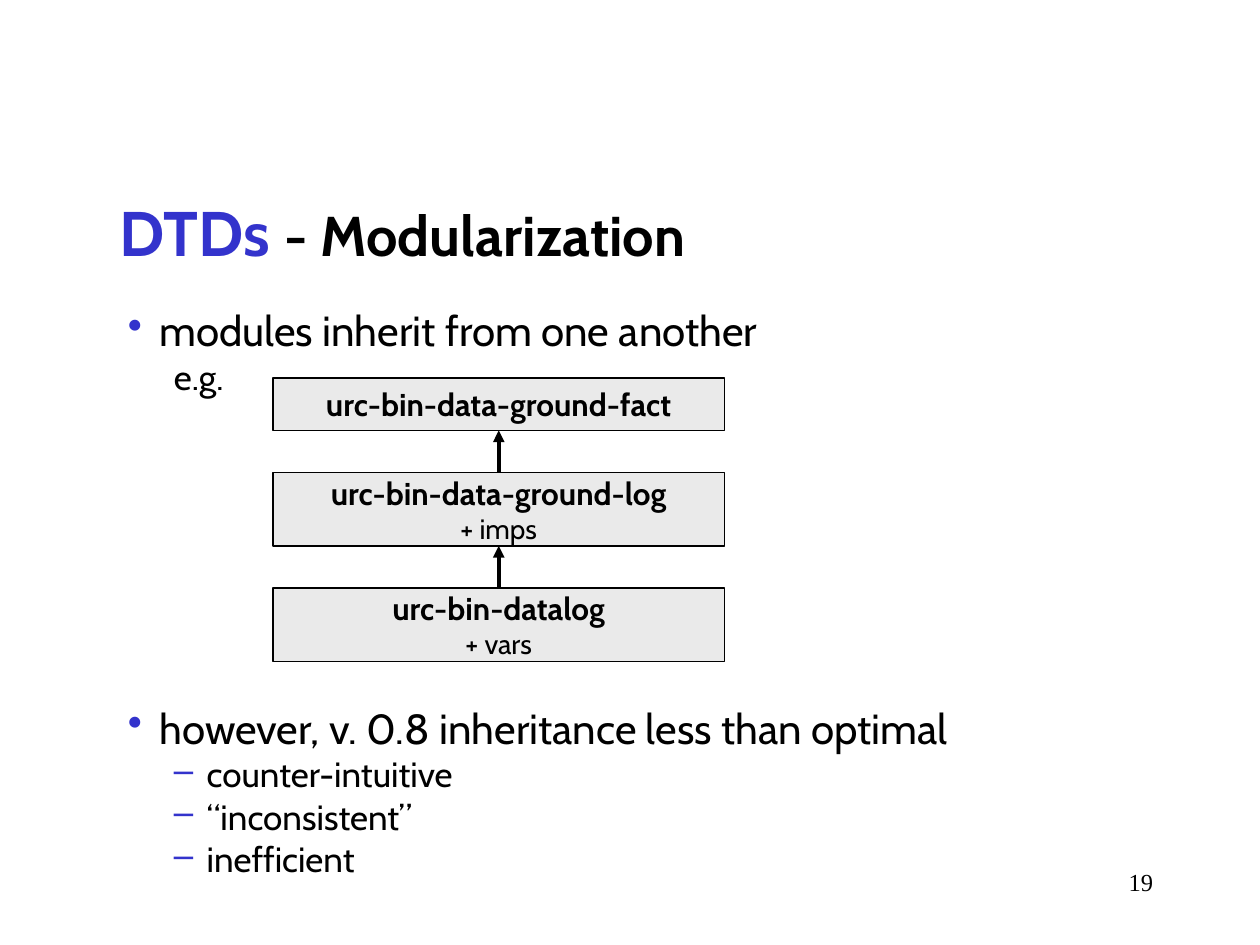
from lxml.etree import SubElement
from pptx import Presentation
from pptx.dml.color import RGBColor
from pptx.enum.shapes import MSO_CONNECTOR, MSO_SHAPE
from pptx.enum.text import MSO_ANCHOR, PP_ALIGN
from pptx.oxml.ns import qn
from pptx.util import Pt

# Content
BLUE, BLACK, GREY = "3333CC", "000000", "EAEAEA"
TITLE = [("DTDs ", 36, BLUE), ("- Modularization", 32, BLACK)]
# text, level, bullet, space before
POINTS = [
    ("modules inherit from one another", 0, "•", 0),
    ("e.g.", 1, None, 2.5),
    ("however, v. 0.8 inheritance less than optimal", 0, "•", 177),
    ("counter-intuitive", 1, "–", 2.5),
    ("“inconsistent”", 1, "–", 2.5),
    ("inefficient", 1, "–", 2.5),
]
# size, left margin, first-line indent of each level
LEVELS = [(24, 18, -18), (20, 45, -18.75)]
# name, addition, height; each module inherits from the one above
MODULES = [
    ("urc-bin-data-ground-fact", None, 30),
    ("urc-bin-data-ground-log", "+ imps", 42),
    ("urc-bin-datalog", "+ vars", 42),
]
MODULE_LEFT, MODULE_TOP, MODULE_WIDTH, MODULE_GAP = 156, 216, 258, 24
PAGE_NUMBER = "19"


def colour(value):
    return RGBColor.from_string(value)


def set_all(target, values):
    for key, value in values.items():
        setattr(target, key, value)


def add_run(paragraph, text, size, fill=BLACK, bold=False, face="Cabin"):
    run = paragraph.add_run()
    run.text = text
    set_all(run.font, {"size": Pt(size), "bold": bold, "name": face})
    run.font.color.rgb = colour(fill)


def add_bullet(paragraph, bullet, margin, indent):
    properties = paragraph._p.get_or_add_pPr()
    properties.set("marL", str(Pt(margin)))
    properties.set("indent", str(Pt(indent)))
    if bullet:
        bullet_colour = SubElement(properties, qn("a:buClr"))
        SubElement(bullet_colour, qn("a:srgbClr"), val=BLUE)
        SubElement(properties, qn("a:buChar"), char=bullet)
    else:
        SubElement(properties, qn("a:buNone"))


def next_paragraph(frame, index):
    return frame.add_paragraph() if index else frame.paragraphs[0]


presentation = Presentation()
set_all(presentation, {"slide_width": Pt(720), "slide_height": Pt(540)})
slide = presentation.slides.add_slide(presentation.slide_layouts[5])
shapes = slide.shapes

# Title
title = shapes.title
set_all(title, {"left": Pt(61), "top": Pt(102), "width": Pt(612), "height": Pt(60)})
title.text_frame.vertical_anchor = MSO_ANCHOR.MIDDLE
heading = title.text_frame.paragraphs[0]
heading.alignment = PP_ALIGN.LEFT
for text, size, fill in TITLE:
    add_run(heading, text, size, fill, bold=True)

# Bullet points
points = shapes.add_textbox(Pt(66), Pt(174), Pt(588), Pt(354)).text_frame
points.word_wrap = True
for index, (text, level, bullet, before) in enumerate(POINTS):
    size, margin, indent = LEVELS[level]
    point = next_paragraph(points, index)
    add_bullet(point, bullet, margin, indent)
    set_all(point, {"level": level, "line_spacing": 0.9, "space_before": Pt(before)})
    add_run(point, text, size)

# Module boxes, each with an arrow to its parent
parent = None
top = MODULE_TOP
for name, addition, height in MODULES:
    module = shapes.add_shape(
        MSO_SHAPE.RECTANGLE, Pt(MODULE_LEFT), Pt(top), Pt(MODULE_WIDTH), Pt(height))
    module.shadow.inherit = False
    module.fill.solid()
    module.fill.fore_color.rgb = colour(GREY)
    module.line.color.rgb = colour(BLACK)
    module.line.width = Pt(1)
    frame = module.text_frame
    set_all(frame, {"word_wrap": False, "vertical_anchor": MSO_ANCHOR.MIDDLE})
    labels = [(name, 18, True)] + ([(addition, 16, False)] if addition else [])
    for index, (text, size, bold) in enumerate(labels):
        label = next_paragraph(frame, index)
        label.alignment = PP_ALIGN.CENTER
        add_run(label, text, size, bold=bold)
    if parent is not None:
        arrow = shapes.add_connector(MSO_CONNECTOR.STRAIGHT, 0, 0, 0, 0)
        arrow.begin_connect(module, 0)
        arrow.end_connect(parent, 2)
        arrow.line.color.rgb = colour(BLACK)
        arrow.line.width = Pt(2.25)
        SubElement(arrow.line._get_or_add_ln(), qn("a:tailEnd"), type="triangle")
        SubElement(arrow._element.spPr, qn("a:effectLst"))
    parent = module
    top += height + MODULE_GAP

# Page number
page = shapes.add_textbox(Pt(516), Pt(492), Pt(150), Pt(36)).text_frame
page.word_wrap = True
page.paragraphs[0].alignment = PP_ALIGN.RIGHT
add_run(page.paragraphs[0], PAGE_NUMBER, 14, face="Times New Roman")

presentation.save("out.pptx")
